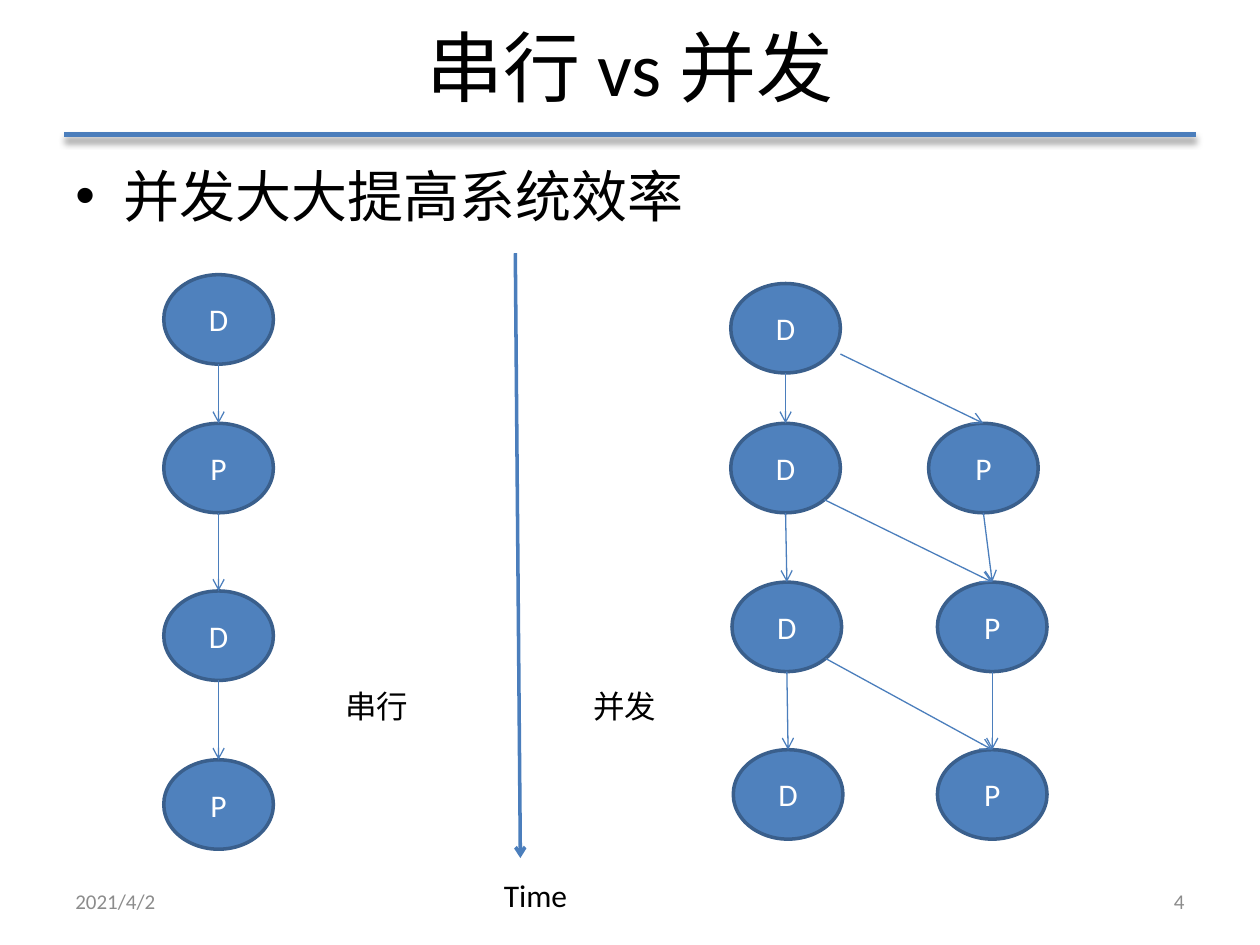
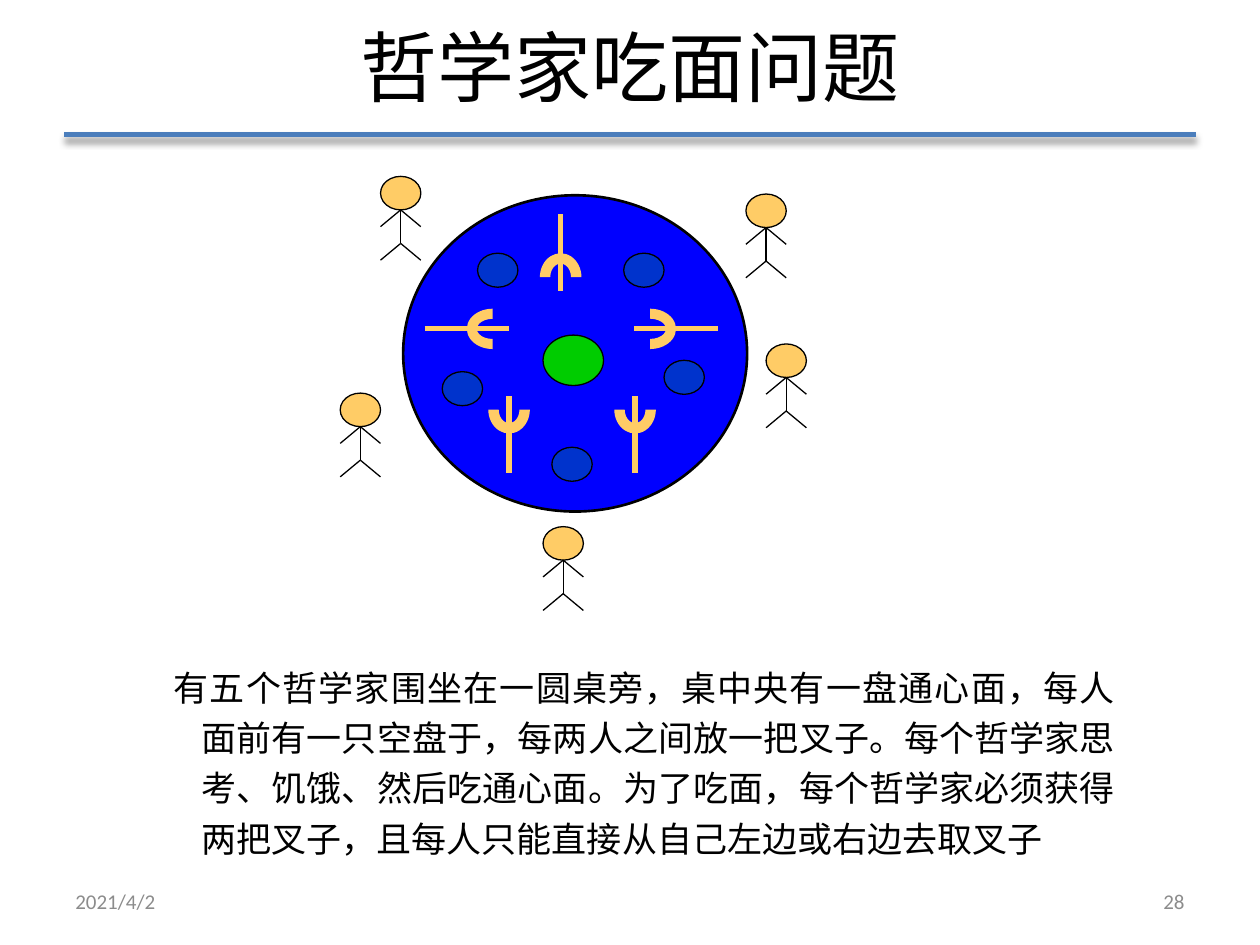
"""Build two slides on concurrency: serial against parallel runs, and the dining philosophers."""
from math import cos, radians, sin, sqrt
from typing import NamedTuple

from lxml.etree import SubElement as Sub
from pptx import Presentation as Deck
from pptx.dml.color import RGBColor as Rgb
from pptx.enum.shapes import MSO_CONNECTOR as Link, MSO_SHAPE as Kind
from pptx.enum.text import MSO_ANCHOR as Anchor, PP_ALIGN as Align
from pptx.oxml.ns import qn
from pptx.util import Inches, Pt

HUES = {
    "ink": "000000", "white": "FFFFFF", "grey": "8C8C8C",
    "rule": "4B7EBC", "node": "4F81BD", "edge": "3A5F8C",
    "table": "0000FF", "plate": "0033CC", "pasta": "00CC00", "gold": "FFCC66",
}
LATIN, ASIAN = "Calibri", "Noto Sans CJK JP"
DATE = "2021/4/2"


class Spot(NamedTuple):
    x: float
    y: float


class Box(NamedTuple):
    x: float
    y: float
    w: float
    h: float


class Node(NamedTuple):
    text: str
    x: float
    y: float
    w: float = 0.87
    h: float = 0.71

    def at(self, dx: float, dy: float) -> Spot:
        return Spot(self.x + self.w * (1 + dx) / 2, self.y + self.h * (1 + dy) / 2)


class Fork(NamedTuple):
    x: float
    y: float
    turn: int


SERIAL = [Node(t, 1.3, y) for t, y in zip("DPDP", (2.18, 3.36, 4.69, 6.03))]
LEFT = [Node("D", x, y) for x, y in ((5.8, 2.25), (5.8, 3.36), (5.81, 4.62), (5.82, 5.95))]
RIGHT = [Node("P", x, y) for x, y in ((7.37, 3.36), (7.44, 4.62), (7.44, 5.95))]
PLATES = [Spot(3.79, 2.01), Spot(4.95, 2.01), Spot(5.27, 2.86), Spot(4.38, 3.55), Spot(3.51, 2.95)]
HEADS = [Spot(5.92, 1.54), Spot(6.08, 2.73), Spot(4.31, 4.18), Spot(3.02, 1.4), Spot(2.7, 3.12)]
FORKS = [Fork(4.45, 2.2, 0), Fork(3.91, 2.61, 270), Fork(5.16, 2.61, 90),
         Fork(5.04, 3.25, 180), Fork(4.04, 3.25, 180)]
STORY = ("有五个哲学家围坐在一圆桌旁，桌中央有一盘通心面，每人面前有一只空盘于，每两人之间放一把叉子。"
         "每个哲学家思考、饥饿、然后吃通心面。为了吃面，每个哲学家必须获得两把叉子，"
         "且每人只能直接从自己左边或右边去取叉子")


def hue(name: str) -> Rgb:
    return Rgb.from_string(HUES[name])


def write(shape, text: str, size: float = 18, color: str = "ink", align=Align.LEFT,
          anchor=Anchor.TOP, wrap: bool = True, indent: tuple = (), bullet: str = "",
          lead: float = 1, before: float = 0) -> None:
    frame = shape.text_frame
    frame.word_wrap, frame.vertical_anchor = wrap, anchor
    para = frame.paragraphs[0]
    para.alignment, para.line_spacing, para.space_before = align, lead, Pt(before)
    props = para._p.get_or_add_pPr()
    if indent:
        for key, val in zip(("marL", "indent"), indent):
            props.set(key, str(Inches(val)))
    if bullet:
        Sub(props, qn("a:buFont"), typeface="Arial")
        Sub(props, qn("a:buChar"), char=bullet)
    run = para.add_run()
    run.text = text
    run.font.size, run.font.name = Pt(size), LATIN
    run.font.color.rgb = hue(color)
    Sub(run._r.get_or_add_rPr(), qn("a:ea"), typeface=ASIAN)


def label(shapes, box: Box, text: str, **form) -> None:
    write(shapes.add_textbox(*map(Inches, box)), text, **form)


def form(shapes, kind, box: Box, fill: str, edge: str = "", width: float = 0.75):
    shape = shapes.add_shape(kind, *map(Inches, box))
    shape.shadow.inherit = False
    shape.fill.solid()
    shape.fill.fore_color.rgb = hue(fill)
    if edge:
        shape.line.color.rgb = hue(edge)
        shape.line.width = Pt(width)
    else:
        shape.line.fill.background()
    return shape


def line(shapes, start: Spot, end: Spot, color: str = "ink", width: float = 0.75,
         arrow: bool = False, shade: bool = False) -> None:
    wire = shapes.add_connector(Link.STRAIGHT, *map(Inches, (*start, *end)))
    wire.line.color.rgb = hue(color)
    wire.line.width = Pt(width)
    if arrow:
        Sub(wire.line._get_or_add_ln(), qn("a:tailEnd"), type="arrow")
    fx = Sub(wire._element.spPr, qn("a:effectLst"))
    if shade:
        cast = Sub(fx, qn("a:outerShdw"), blurRad=str(Pt(4)), dist=str(Pt(3)),
                   dir="5400000", rotWithShape="0")
        tint = Sub(cast, qn("a:srgbClr"), val=HUES["ink"])
        Sub(tint, qn("a:alpha"), val="40000")


def start(deck, title: str, page: str):
    shapes = deck.slides.add_slide(deck.slide_layouts[6]).shapes
    line(shapes, Spot(0.51, 1.07), Spot(9.49, 1.07), "rule", 3, shade=True)
    label(shapes, Box(0.5, -0.03, 9, 1.1), title, size=44, align=Align.CENTER, anchor=Anchor.MIDDLE)
    for x, text, align in ((0.5, DATE, Align.LEFT), (7.17, page, Align.RIGHT)):
        label(shapes, Box(x, 6.95, 2.33, 0.4), text, size=12, color="grey",
              align=align, anchor=Anchor.MIDDLE)
    return shapes


def compare(deck) -> None:
    shapes = start(deck, "串行 vs 并发", "4")
    label(shapes, Box(0.5, 1.23, 9, 5.47), "并发大大提高系统效率", size=32,
          indent=(0.38, -0.38), bullet="•", before=6.4)
    for node in SERIAL + LEFT + RIGHT:
        disc = form(shapes, Kind.OVAL, Box(*node[1:]), "node", "edge", 2)
        write(disc, node.text, color="white", align=Align.CENTER, anchor=Anchor.MIDDLE)
    links = [(a.at(0, 1), b.at(0, -1))
             for chain in (SERIAL, LEFT, RIGHT) for a, b in zip(chain, chain[1:])]
    links.append((Spot(6.67, 2.81), RIGHT[0].at(0, -1)))
    slant = sqrt(0.5)
    links += [(a.at(slant, slant), b.at(0, -1)) for a, b in zip(LEFT[1:], RIGHT[1:])]
    for a, b in links:
        line(shapes, a, b, "rule", arrow=True)
    line(shapes, Spot(4.09, 2.01), Spot(4.13, 6.81), "rule", 2, arrow=True)
    for x, y, text in ((3.9, 6.9, "Time"), (2.64, 5.4, "串行"), (4.61, 5.4, "并发")):
        label(shapes, Box(x, y, 0.71, 0.4), text, wrap=False)


def person(shapes, head: Spot) -> None:
    wide, step = 0.32, 0.133
    form(shapes, Kind.OVAL, Box(*head, wide, 2 * step), "gold", "ink")
    mid = head.x + wide / 2
    neck, hip = (Spot(mid, head.y + n * step) for n in (2, 4))
    line(shapes, neck, hip)
    for joint in (neck, hip):
        for x in (head.x, head.x + wide):
            line(shapes, joint, Spot(x, joint.y + step))


def utensil(shapes, fork: Fork) -> None:
    flat = fork.turn % 180 == 90
    w, h, tail, tip = (0.32, 0.41, 0.54, 0.13) if flat else (0.33, 0.38, 0.5, 0.11)
    dx, dy = sin(radians(fork.turn)), -cos(radians(fork.turn))
    line(shapes, Spot(fork.x + tail * dx, fork.y + tail * dy),
         Spot(fork.x - tip * dx, fork.y - tip * dy), "gold", 3)
    arc = form(shapes, Kind.BLOCK_ARC, Box(fork.x - w / 2, fork.y - h / 2, w, h), "gold")
    arc.rotation = fork.turn


def dine(deck) -> None:
    shapes = start(deck, "哲学家吃面问题", "28")
    scene = shapes.add_group_shape().shapes
    form(scene, Kind.OVAL, Box(3.2, 1.55, 2.73, 2.51), "table", "ink", 1.5)
    for plate in PLATES:
        form(scene, Kind.OVAL, Box(*plate, 0.32, 0.27), "plate", "ink")
    for head in HEADS:
        person(scene, head)
    form(scene, Kind.OVAL, Box(4.31, 2.66, 0.48, 0.4), "pasta", "ink")
    for fork in FORKS:
        utensil(scene, fork)
    label(shapes, Box(1.12, 5.17, 7.83, 5.51), STORY, size=20, align=Align.JUSTIFY,
          indent=(0.38, -0.22), lead=1.2, before=4)


def main() -> None:
    deck = Deck()
    deck.slide_width, deck.slide_height = Inches(10), Inches(7.5)
    compare(deck)
    dine(deck)
    deck.save("out.pptx")


if __name__ == "__main__":
    main()
